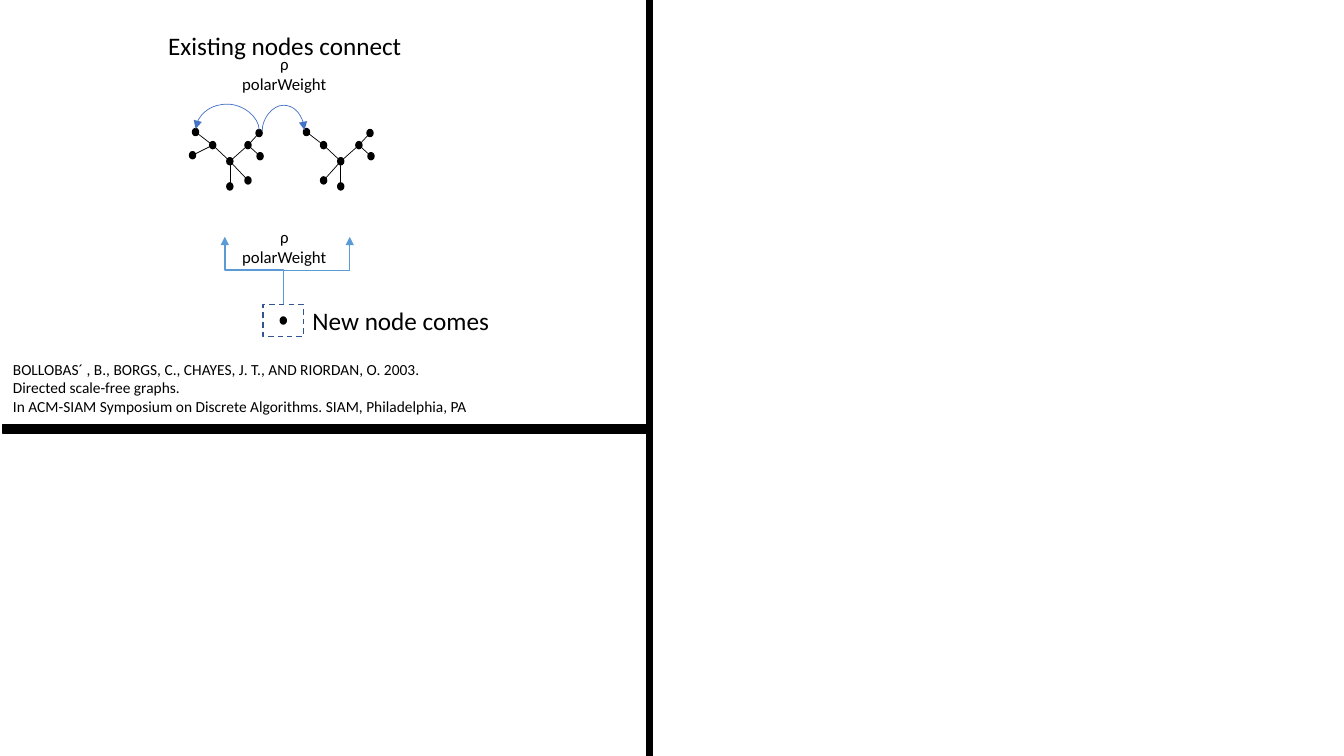
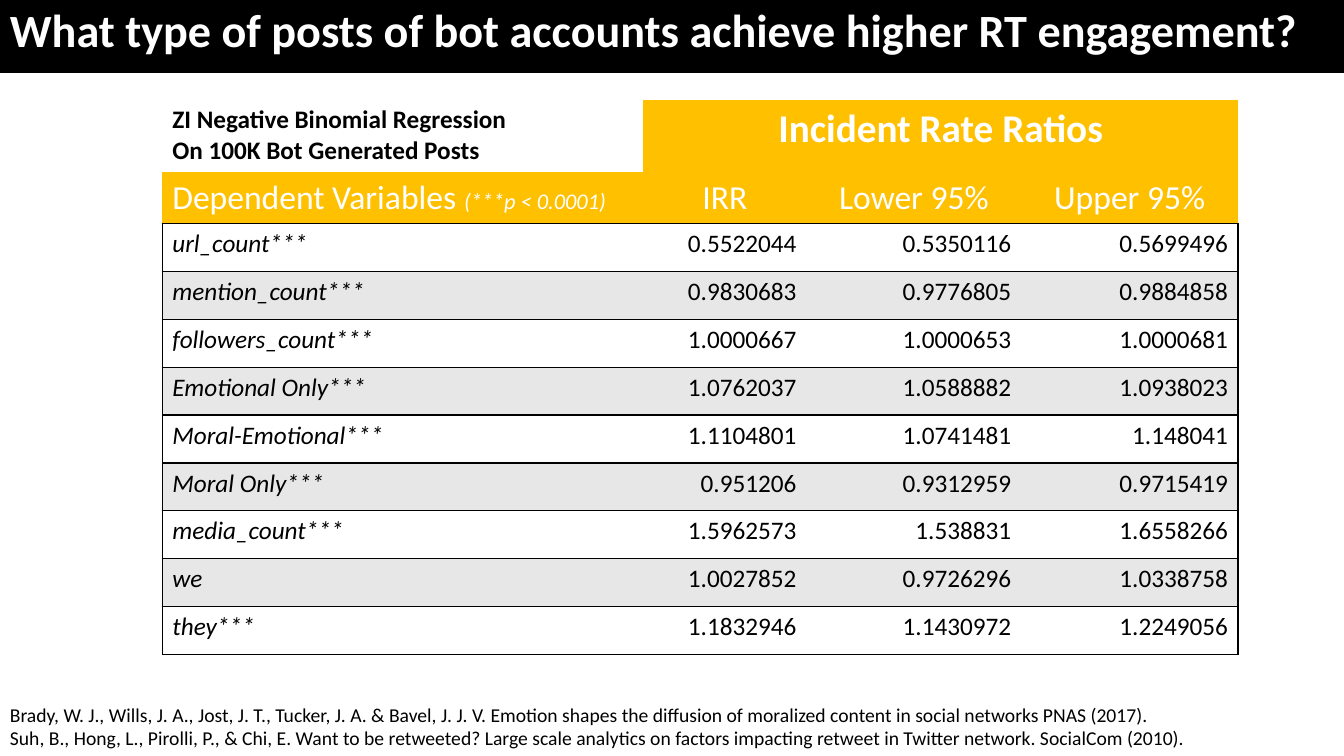
from math import dist

from lxml.etree import SubElement
from pptx import Presentation
from pptx.dml.color import RGBColor
from pptx.enum.dml import MSO_LINE
from pptx.enum.shapes import MSO_CONNECTOR, MSO_SHAPE
from pptx.enum.text import MSO_ANCHOR, MSO_AUTO_SIZE, PP_ALIGN
from pptx.oxml.ns import qn
from pptx.util import Inches, Pt

BLACK = RGBColor(0x00, 0x00, 0x00)
WHITE = RGBColor(0xFF, 0xFF, 0xFF)
GOLD = RGBColor(0xFF, 0xC0, 0x00)
GREY = RGBColor(0xE7, 0xE7, 0xE7)
NAVY = RGBColor(0x32, 0x54, 0x91)
BLUE = RGBColor(0x44, 0x72, 0xC4)
SKY = RGBColor(0x5B, 0x9B, 0xD5)

WIDTH, HEIGHT = 13.33, 7.5
DOT_WIDTH, DOT_HEIGHT = 0.06, 0.07
EDGE_GAP = 0.03

# Each node: offset from the root, and the node it hangs from
COMMON_NODES = {
    "root": (0, 0, None),
    "left": (-0.17, -0.16, "root"),
    "right": (0.18, -0.16, "root"),
    "left tip": (-0.34, -0.29, "left"),
    "right tip": (0.29, -0.28, "right"),
    "right leaf": (0.3, -0.05, "right"),
    "bottom": (0, 0.25, "root"),
}
LEFT_TREE = COMMON_NODES | {
    "left leaf": (-0.37, -0.06, "left"),
    "lower leaf": (0.18, 0.19, "root"),
}
RIGHT_TREE = COMMON_NODES | {"lower leaf": (-0.17, 0.19, "root")}

COLUMNS = [4.77, 1.62, 2.13, 2.15]
HEADER_HEIGHTS = [0.72, 0.5]
BODY_HEIGHT = 4.28
HEADINGS = ["IRR", "Lower 95%", "Upper 95%"]
RATIOS = [
    ("url_count***", "0.5522044", "0.5350116", "0.5699496"),
    ("mention_count***", "0.9830683", "0.9776805", "0.9884858"),
    ("followers_count***", "1.0000667", "1.0000653", "1.0000681"),
    ("Emotional Only***", "1.0762037", "1.0588882", "1.0938023"),
    ("Moral-Emotional***", "1.1104801", "1.0741481", "1.148041"),
    ("Moral Only***", "0.951206", "0.9312959", "0.9715419"),
    ("media_count***", "1.5962573", "1.538831", "1.6558266"),
    ("we", "1.0027852", "0.9726296", "1.0338758"),
    ("they***", "1.1832946", "1.1430972", "1.2249056"),
]


class Slides:
    """Holds the deck, its text style and the current slide."""

    style = {"name": "Calibri", "size": 18, "bold": False, "italic": False}

    def __init__(self):
        self.deck = Presentation()
        self.deck.slide_width = Inches(WIDTH)
        self.deck.slide_height = Inches(HEIGHT)
        self.page = None

    def new_page(self):
        self.page = self.deck.slides.add_slide(self.deck.slide_layouts[6])

    def fill_text(self, frame, lines, color=BLACK, align=PP_ALIGN.LEFT, **style):
        """Fill a text frame; a line is a string or a list of (text, style) spans."""
        for index, line in enumerate(lines):
            para = frame.add_paragraph() if index else frame.paragraphs[0]
            para.alignment = align
            spans = [(line, {})] if isinstance(line, str) else line
            for text, extra in spans:
                span = para.add_run()
                span.text = text
                span.font.color.rgb = color
                for key, value in (self.style | style | extra).items():
                    setattr(span.font, key, Pt(value) if key == "size" else value)

    def text(self, left, top, width, height, lines, wrap=False, **style):
        box = self.page.shapes.add_textbox(*map(Inches, (left, top, width, height)))
        box.text_frame.word_wrap = wrap
        box.text_frame.auto_size = MSO_AUTO_SIZE.SHAPE_TO_FIT_TEXT
        self.fill_text(box.text_frame, lines, **style)

    def shape(self, kind, left, top, width, height, fill=BLACK, line=BLACK):
        shape = self.page.shapes.add_shape(
            kind, *map(Inches, (left, top, width, height)))
        shape.shadow.inherit = False
        if fill is None:
            shape.fill.background()
        else:
            shape.fill.solid()
            shape.fill.fore_color.rgb = fill
        shape.line.color.rgb = line
        shape.line.width = Pt(1)
        return shape

    def band(self, left, top, width, height):
        return self.shape(MSO_SHAPE.RECTANGLE, left, top, width, height)

    def title_band(self, title):
        frame = self.band(0, 0, WIDTH, 0.72).text_frame
        frame.word_wrap = True
        frame.vertical_anchor = MSO_ANCHOR.MIDDLE
        self.fill_text(frame, [title], WHITE, size=33, bold=True)
        frame.paragraphs[0].line_spacing = 0.7

    def dot(self, x, y):
        self.shape(MSO_SHAPE.OVAL, x - DOT_WIDTH / 2, y - DOT_HEIGHT / 2,
                   DOT_WIDTH, DOT_HEIGHT)

    def line(self, start, end, color=BLACK, width=0.5, kind=MSO_CONNECTOR.STRAIGHT):
        line = self.page.shapes.add_connector(kind, *map(Inches, (*start, *end)))
        line.line.color.rgb = color
        line.line.width = Pt(width)
        SubElement(line._element.spPr, qn("a:effectLst"))
        return line

    def rising_arrow(self, kind, start, end, lift, color, width):
        """Arrow that leaves upwards, turns at the given lift and ends at end."""
        center_x, center_y = ((a + b) / 2 for a, b in zip(start, end))
        half_rise = (start[1] - end[1]) / 2
        half_run = (end[0] - start[0]) / 2
        arrow = self.line((center_x - half_rise, center_y - half_run),
                          (center_x + half_rise, center_y + half_run),
                          color, width, kind)
        arrow.rotation = 270
        properties = arrow._element.spPr
        guides = properties.find(qn("a:prstGeom")).get_or_add_avLst()
        turn = round(lift / (2 * half_rise) * 100000)
        SubElement(guides, qn("a:gd"), name="adj1", fmla=f"val {turn}")
        SubElement(properties.find(qn("a:ln")), qn("a:tailEnd"), type="triangle")

    def tree(self, root_x, root_y, nodes):
        places = {name: (root_x + dx, root_y + dy)
                  for name, (dx, dy, _) in nodes.items()}
        for place in places.values():
            self.dot(*place)
        for name, (_, _, parent) in nodes.items():
            if parent:
                start, end = places[parent], places[name]
                share = EDGE_GAP / dist(start, end)
                self.line([a + (b - a) * share for a, b in zip(start, end)],
                          [b - (b - a) * share for a, b in zip(start, end)])

    def table(self, left, top, columns, heights):
        frame = self.page.shapes.add_table(
            len(heights), len(columns),
            *map(Inches, (left, top, sum(columns), sum(heights))))
        table = frame.table
        table.first_row = table.horz_banding = False
        for column, width in zip(table.columns, columns):
            column.width = Inches(width)
        for row, height in zip(table.rows, heights):
            row.height = Inches(height)
        return table

    def cell(self, cell, lines, fill, sides="", **style):
        """Fill a cell and rule the named sides (L, R, T, B) in black."""
        self.fill_text(cell.text_frame, lines, **style)
        properties = cell._tc.get_or_add_tcPr()
        for side in "LRTB":
            border = SubElement(properties, qn(f"a:ln{side}"), w=str(Pt(1)))
            if side in sides:
                paint = SubElement(border, qn("a:solidFill"))
                SubElement(paint, qn("a:srgbClr"), val=str(BLACK))
            else:
                SubElement(border, qn("a:noFill"))
        cell.fill.solid()
        cell.fill.fore_color.rgb = fill


def add_network_page(slides):
    slides.new_page()
    slides.band(6.41, 0, 0.06, HEIGHT)
    slides.tree(2.28, 1.6, LEFT_TREE)
    slides.tree(3.38, 1.6, RIGHT_TREE)

    slides.dot(2.81, 3.18)
    frame = slides.shape(MSO_SHAPE.RECTANGLE, 2.61, 3.02, 0.4, 0.32, None, NAVY)
    frame.line.dash_style = MSO_LINE.DASH
    slides.text(3, 2.98, 1.98, 0.4, ["New node comes"])
    slides.text(1.57, 0.25, 2.54, 0.4, ["Existing nodes connect"])
    for top in (0.48, 2.2):
        slides.text(2.3, top, 1.04, 0.5, ["ρ", "polarWeight"],
                    size=12, align=PP_ALIGN.CENTER)

    for x in (2.23, 3.47):
        slides.rising_arrow(MSO_CONNECTOR.ELBOW, (2.81, 3.02), (x, 2.35),
                            0.34, SKY, 1)
    for start, end in (((2.6, 1.3), (3.02, 1.29)), ((2.57, 1.29), (1.94, 1.28))):
        slides.rising_arrow(MSO_CONNECTOR.CURVE, start, end, 0.26, BLUE, 0.5)

    slides.text(0.03, 3.52, 4.74, 0.66, [
        "BOLLOBAS´ , B., BORGS, C., CHAYES, J. T., AND RIORDAN, O. 2003.",
        "Directed scale-free graphs.",
        "In ACM-SIAM Symposium on Discrete Algorithms. SIAM, Philadelphia, PA",
    ], size=11)
    slides.band(0.03, 4.21, 6.41, 0.09)


def add_regression_page(slides):
    slides.new_page()
    row_height = BODY_HEIGHT / len(RATIOS)
    table = slides.table(1.61, 0.99, COLUMNS,
                         HEADER_HEIGHTS + [row_height] * len(RATIOS))
    table.cell(0, 1).merge(table.cell(0, 3))
    slides.cell(table.cell(0, 0), ["ZI Negative Binomial Regression",
                                   "On 100K Bot Generated Posts"], WHITE, bold=True)
    slides.cell(table.cell(0, 1), ["Incident Rate Ratios"], GOLD, color=WHITE,
                align=PP_ALIGN.CENTER, size=28, bold=True)
    variables = [("Dependent Variables ", {}),
                 ("(***p < 0.0001)", {"size": 16, "italic": True})]
    slides.cell(table.cell(1, 0), [variables], GOLD, "B", color=WHITE, size=24)
    for column, heading in enumerate(HEADINGS, 1):
        slides.cell(table.cell(1, column), [heading], GOLD, "B", color=WHITE,
                    align=PP_ALIGN.CENTER, size=24)

    outer_sides = {0: "L", len(COLUMNS) - 1: "R"}
    for row, values in enumerate(RATIOS, len(HEADER_HEIGHTS)):
        for column, value in enumerate(values):
            slides.cell(table.cell(row, column), [value], GREY if row % 2 else WHITE,
                        "TB" + outer_sides.get(column, ""), italic=column == 0,
                        align=PP_ALIGN.RIGHT if column else PP_ALIGN.LEFT)

    slides.title_band(
        "What type of posts of bot accounts achieve higher RT engagement?")
    slides.text(0, 6.92, WIDTH, 0.57, [
        "Brady, W. J., Wills, J. A., Jost, J. T., Tucker, J. A. & Bavel, J. J. V. "
        "Emotion shapes the diffusion of moralized content in social networks "
        "PNAS (2017).",
        "Suh, B., Hong, L., Pirolli, P., & Chi, E. Want to be retweeted? Large scale "
        "analytics on factors impacting retweet in Twitter network. SocialCom (2010).",
    ], wrap=True, size=14)


def main():
    slides = Slides()
    add_network_page(slides)
    add_regression_page(slides)
    slides.deck.save("out.pptx")


if __name__ == "__main__":
    main()
